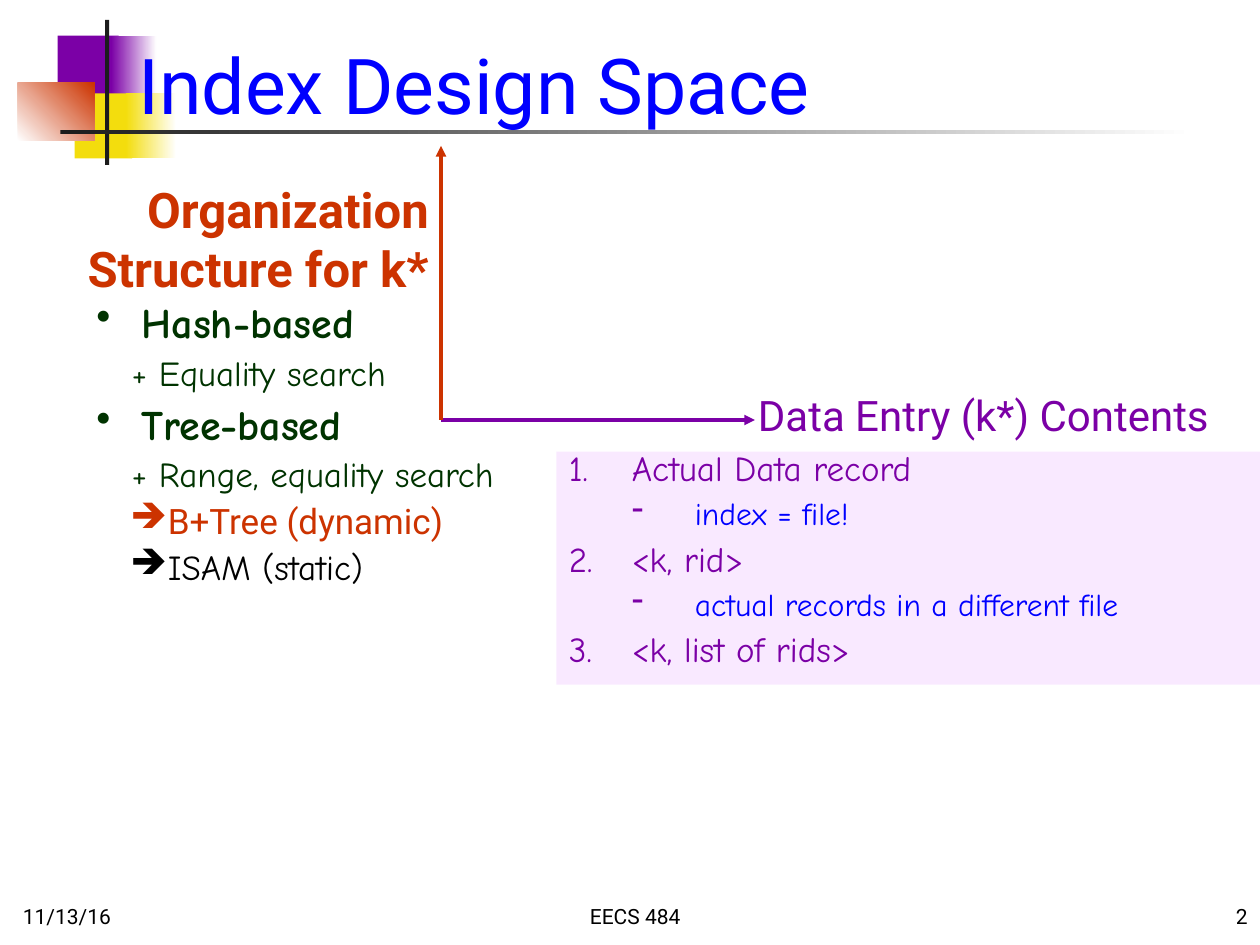
from lxml.etree import SubElement
from pptx import Presentation
from pptx.dml.color import RGBColor
from pptx.enum.shapes import MSO_CONNECTOR, MSO_SHAPE
from pptx.enum.text import MSO_ANCHOR, PP_ALIGN
from pptx.oxml.ns import qn
from pptx.util import Inches, Pt

PURPLE = RGBColor(0x7B, 0x00, 0xA6)
YELLOW = RGBColor(0xF3, 0xDD, 0x0D)
RUST = RGBColor(0xCC, 0x33, 0x00)
CHARCOAL = RGBColor(0x1C, 0x1C, 0x1C)
BLUE = RGBColor(0x00, 0x00, 0xFF)
GREEN = RGBColor(0x00, 0x33, 0x00)
LILAC = RGBColor(0xF4, 0xD5, 0xFF)
BLACK = RGBColor(0x00, 0x00, 0x00)
WHITE = RGBColor(0xFF, 0xFF, 0xFF)
SANS = "Roboto"
HAND = "Comic Neue"
COLUMNS, ROWS = 120, 90

deck = Presentation()
deck.slide_width = Inches(10)
deck.slide_height = Inches(7.5)
page = deck.slides.add_slide(deck.slide_layouts[6])
column = deck.slide_width / COLUMNS
row = deck.slide_height / ROWS


def cells(*counts):
    return [round(count * (row if index % 2 else column)) for index, count in enumerate(counts)]


def write(box, text, size=20, color=BLACK, font=SANS, bold=False, align=PP_ALIGN.LEFT,
          spacing=None, before=None, margin=0, indent=0, level=0, bullet=None, bullet_color=None):
    frame = box.text_frame
    para = frame.add_paragraph() if frame.text else frame.paragraphs[0]
    para.alignment = align
    para.level = level
    para.line_spacing = spacing
    if before:
        para.space_before = Pt(before)
    span = para.add_run()
    span.text = text
    span.font.size = Pt(size)
    span.font.name = font
    span.font.bold = bold
    span.font.color.rgb = color
    properties = para._p.get_or_add_pPr()
    properties.set("marL", str(Inches(margin)))
    properties.set("indent", str(Inches(indent)))
    if bullet_color:
        SubElement(SubElement(properties, qn("a:buClr")), qn("a:srgbClr"), val=str(bullet_color))
        SubElement(properties, qn("a:buSzPct"), val="110000")
    if bullet:
        SubElement(properties, qn("a:buChar"), char=bullet)


for place, start, end, angle in [
    ((5.5, 3.4, 5.8, 6.2), PURPLE, None, 0),
    ((10.6, 3.4, 4.3, 6.2), PURPLE, WHITE, 0),
    ((7.1, 8.9, 5.5, 6.2), YELLOW, None, 0),
    ((12, 8.9, 4.8, 6.2), YELLOW, WHITE, 0),
    ((1.7, 7.9, 7.3, 5.5), WHITE, RUST, 45),
    ((10, 1.9, 0.4, 13.8), CHARCOAL, None, 0),
    ((5.75, 12.35, 108, 0.4), CHARCOAL, WHITE, 0),
]:
    block = page.shapes.add_shape(MSO_SHAPE.RECTANGLE, *cells(*place))
    block.shadow.inherit = False
    block.line.fill.background()
    if end is None:
        block.fill.solid()
        block.fill.fore_color.rgb = start
    else:
        block.fill.gradient()
        block.fill.gradient_angle = angle
        for stop, color in zip(block.fill.gradient_stops, (start, end)):
            stop.color.rgb = color

for place, text, anchor, wrap, style in [
    ((1, 83, 25, 6), "11/13/16", MSO_ANCHOR.BOTTOM, True, dict(size=12)),
    ((28, 83, 65, 6), "EECS 484", MSO_ANCHOR.BOTTOM, True, dict(size=12, align=PP_ALIGN.CENTER)),
    ((95, 83, 25, 6), "2", MSO_ANCHOR.BOTTOM, True, dict(size=12, align=PP_ALIGN.RIGHT)),
    ((12, -2, 106, 15), "Index Design Space", MSO_ANCHOR.BOTTOM, True, dict(size=44, color=BLUE)),
    ((71, 36.5, 46.5, 6), "Data Entry (k*) Contents", MSO_ANCHOR.TOP, False,
     dict(size=24, color=PURPLE)),
    ((2, 16.5, 40, 12.4), "Organization Structure for k*", MSO_ANCHOR.TOP, True,
     dict(size=28, color=RUST, bold=True, align=PP_ALIGN.RIGHT)),
]:
    box = page.shapes.add_textbox(*cells(*place))
    box.text_frame.word_wrap = wrap
    box.text_frame.vertical_anchor = anchor
    write(box, text, **style)

for ends, color in [((42, 40, 71.9, 40), PURPLE), ((42, 40, 42, 13.9), RUST)]:
    axis = page.shapes.add_connector(MSO_CONNECTOR.STRAIGHT, *cells(*ends))
    axis.line.color.rgb = color
    axis.line.width = Pt(2)
    outline = axis._element.spPr
    SubElement(outline.find(qn("a:ln")), qn("a:tailEnd"), type="triangle")
    SubElement(outline, qn("a:effectLst"))

structures = page.shapes.add_textbox(*cells(8, 27.2, 45, 29.3))
structures.text_frame.word_wrap = True
for name, search in [("Hash-based", "+ Equality search"), ("Tree-based", "+ Range, equality search")]:
    write(structures, name, size=24, color=GREEN, font=HAND, bold=True, spacing=1.1,
          margin=0.36, indent=-0.36, bullet="•")
    write(structures, search, color=GREEN, font=HAND, spacing=1.1, margin=0.28)
for name, color, font in [("B+Tree (dynamic)", RUST, SANS), ("ISAM (static)", BLACK, HAND)]:
    write(structures, name, color=color, font=font, spacing=1.1,
          margin=0.5, indent=-0.23, level=1, bullet="➔")

contents = page.shapes.add_shape(MSO_SHAPE.RECTANGLE, *cells(53, 43, 67, 22.2))
contents.shadow.inherit = False
contents.line.fill.background()
contents.fill.solid()
contents.fill.fore_color.rgb = LILAC
tint = contents._element.spPr.find(qn("a:solidFill")).find(qn("a:srgbClr"))
SubElement(tint, qn("a:alpha"), val="50000")
contents.text_frame.word_wrap = True
contents.text_frame.vertical_anchor = MSO_ANCHOR.TOP
for number, (entry, detail) in enumerate([
    ("Actual Data record", "index = file!"),
    ("<k, rid>", "actual records in a different file"),
    ("<k, list of rids>", None),
], start=1):
    write(contents, f"{number}.\t{entry}", color=PURPLE, font=HAND, spacing=0.7, before=10,
          margin=0.5, indent=-0.5)
    if detail:
        write(contents, detail, size=18, color=BLUE, font=HAND, spacing=0.7, before=10,
              margin=1, indent=-0.5, level=1, bullet="-", bullet_color=PURPLE)

deck.save("out.pptx")
